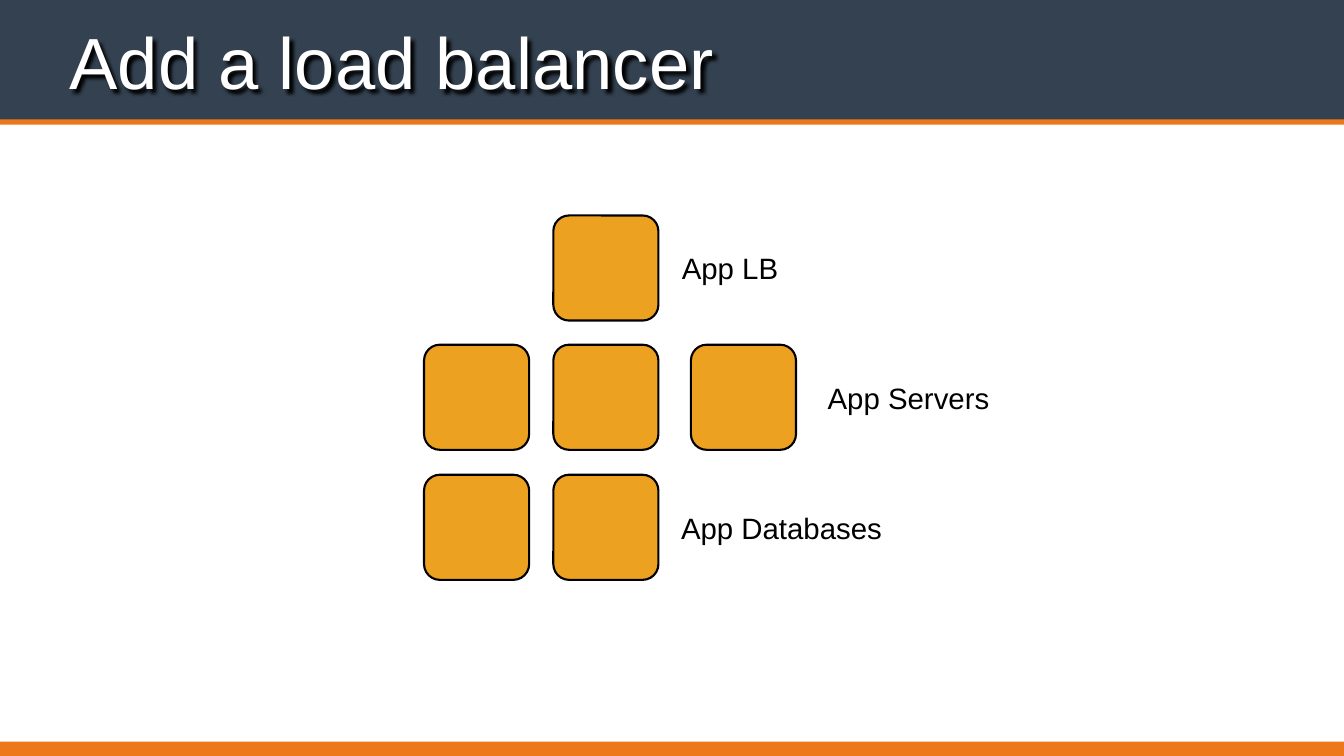
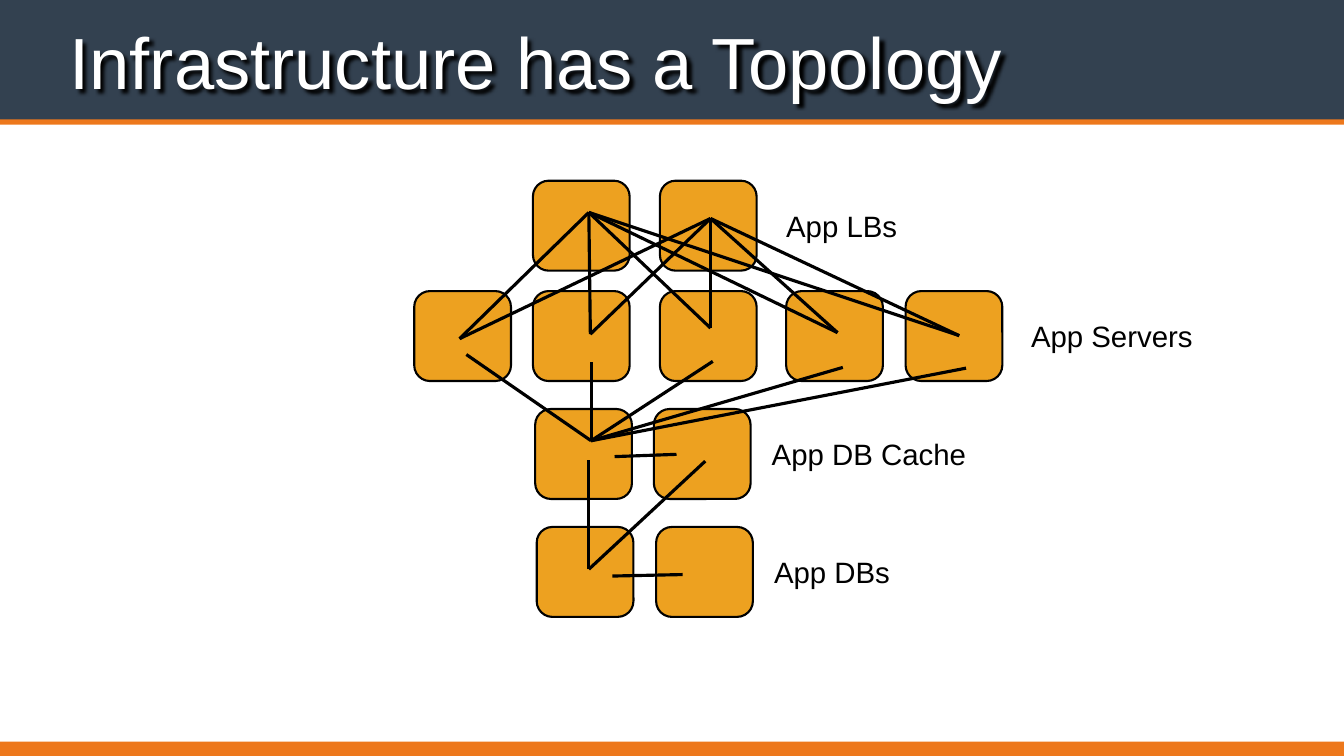
from lxml import etree
from pptx import Presentation
from pptx.dml.color import RGBColor
from pptx.enum.shapes import MSO_CONNECTOR, MSO_SHAPE
from pptx.enum.text import MSO_ANCHOR
from pptx.oxml import parse_xml
from pptx.oxml.ns import nsdecls, qn
from pptx.util import Inches, Pt

RECT, ROUNDED = MSO_SHAPE.RECTANGLE, MSO_SHAPE.ROUNDED_RECTANGLE
STRAIGHT = MSO_CONNECTOR.STRAIGHT
MIDDLE, BOTTOM = MSO_ANCHOR.MIDDLE, MSO_ANCHOR.BOTTOM

COLORS = {"header": "334150", "accent": "ED781C", "node": "EDA120",
          "ink": "000000", "title": "FFFFFF"}
FONT = "Arial"
SLIDE_W, SLIDE_H = 17.78, 10

# Bands on every slide: top, height, colour
BANDS = [(-0.14, 1.78, "header"), (1.58, 0.07, "accent"), (9.81, 0.25, "accent")]

TITLE_SHADOW = (
    f'<a:effectLst {nsdecls("a")}>'
    '<a:outerShdw blurRad="38100" dist="50800" dir="2700000" algn="tl">'
    '<a:srgbClr val="000000"/></a:outerShdw></a:effectLst>')

# Rows: top, node lefts, label, label left, label width
BALANCER_ROWS = [
    (2.85, [7.32], "App LB", 9.02, 1.29),
    (4.56, [5.61, 7.32, 9.14], "App Servers", 10.95, 2.16),
    (6.28, [5.61, 7.32], "App Databases", 9.01, 2.69),
]
TOPOLOGY_ROWS = [
    (2.39, [7.05, 8.73], "App LBs", 10.4, 2.01),
    (3.85, [5.48, 7.05, 8.73, 10.4, 11.98], "App Servers", 13.64, 2.94),
    (5.41, [7.08, 8.65], "App DB Cache", 10.21, 4.63),
    (6.97, [7.1, 8.68], "App DBs", 10.24, 5.03),
]

# Links: each hub and the points it reaches
SERVER_INPUTS = [(6.08, 4.48), (7.81, 4.42), (9.4, 4.34), (11.08, 4.4), (12.69, 4.44)]
SERVER_OUTPUTS = [(6.17, 4.69), (7.82, 4.79), (9.43, 4.78), (11.15, 4.86), (12.78, 4.87)]
TOPOLOGY_LINKS = [
    ((7.79, 2.81), SERVER_INPUTS),
    ((9.4, 2.89), SERVER_INPUTS),
    ((7.82, 5.83), SERVER_OUTPUTS),
    ((7.79, 7.53), [(7.79, 6.08), (9.33, 6.1)]),
    ((8.13, 6.04), [(8.95, 6.01)]),
    ((8.1, 7.62), [(9.03, 7.6)]),
]

# Slides: title, node width, node height, corner, label height, rows, links
SLIDES = [
    ("Add a load balancer", 1.39, 1.39, 0.15, 0.47, BALANCER_ROWS, []),
    ("Infrastructure has a Topology", 1.28, 1.19, 0.175, 0.58,
     TOPOLOGY_ROWS, TOPOLOGY_LINKS),
]


def add_box(s, kind, x, y, w, h, fill):
    sp = s.shapes.add_shape(kind, Inches(x), Inches(y), Inches(w), Inches(h))
    sp.shadow.inherit = False
    sp.fill.solid()
    sp.fill.fore_color.rgb = RGBColor.from_string(COLORS[fill])
    sp.line.fill.background()
    return sp


def add_text(s, text, x, y, w, h, size, color, anchor, inset=0):
    sp = s.shapes.add_textbox(Inches(x), Inches(y), Inches(w), Inches(h))
    tf = sp.text_frame
    tf.word_wrap = True
    tf.vertical_anchor = anchor
    tf.margin_left = tf.margin_right = Inches(inset)
    tf.margin_top = tf.margin_bottom = Inches(inset)
    r = tf.paragraphs[0].add_run()
    r.text = text
    r.font.name = FONT
    r.font.size = Pt(size)
    r.font.color.rgb = RGBColor.from_string(COLORS[color])
    return sp


prs = Presentation()
prs.slide_width, prs.slide_height = Inches(SLIDE_W), Inches(SLIDE_H)

for title, node_w, node_h, corner, label_h, rows, links in SLIDES:
    s = prs.slides.add_slide(prs.slide_layouts[6])

    # Bands and title
    for top, height, color in BANDS:
        add_box(s, RECT, 0, top, SLIDE_W, height, color)
    sp = add_text(s, title, 0.88, 0.19, 16.03, 1.22, 69, "title", BOTTOM, 0.04)
    sp._element.spPr.append(parse_xml(TITLE_SHADOW))

    # Rows of nodes with their labels
    for top, lefts, label, label_x, label_w in rows:
        for left in lefts:
            sp = add_box(s, ROUNDED, left, top, node_w, node_h, "node")
            sp.adjustments[0] = corner
            sp.line.color.rgb = RGBColor.from_string(COLORS["ink"])
            sp.line.width = Pt(2)
        label_y = top + (node_h - label_h) / 2
        add_text(s, label, label_x, label_y, label_w, label_h, 28, "ink", MIDDLE)

    # Links between nodes
    for (hub_x, hub_y), ends in links:
        for x, y in ends:
            line = s.shapes.add_connector(
                STRAIGHT, Inches(hub_x), Inches(hub_y), Inches(x), Inches(y))
            line.line.color.rgb = RGBColor.from_string(COLORS["ink"])
            line.line.width = Pt(3)
            etree.SubElement(line._element.spPr, qn("a:effectLst"))

prs.save("out.pptx")
